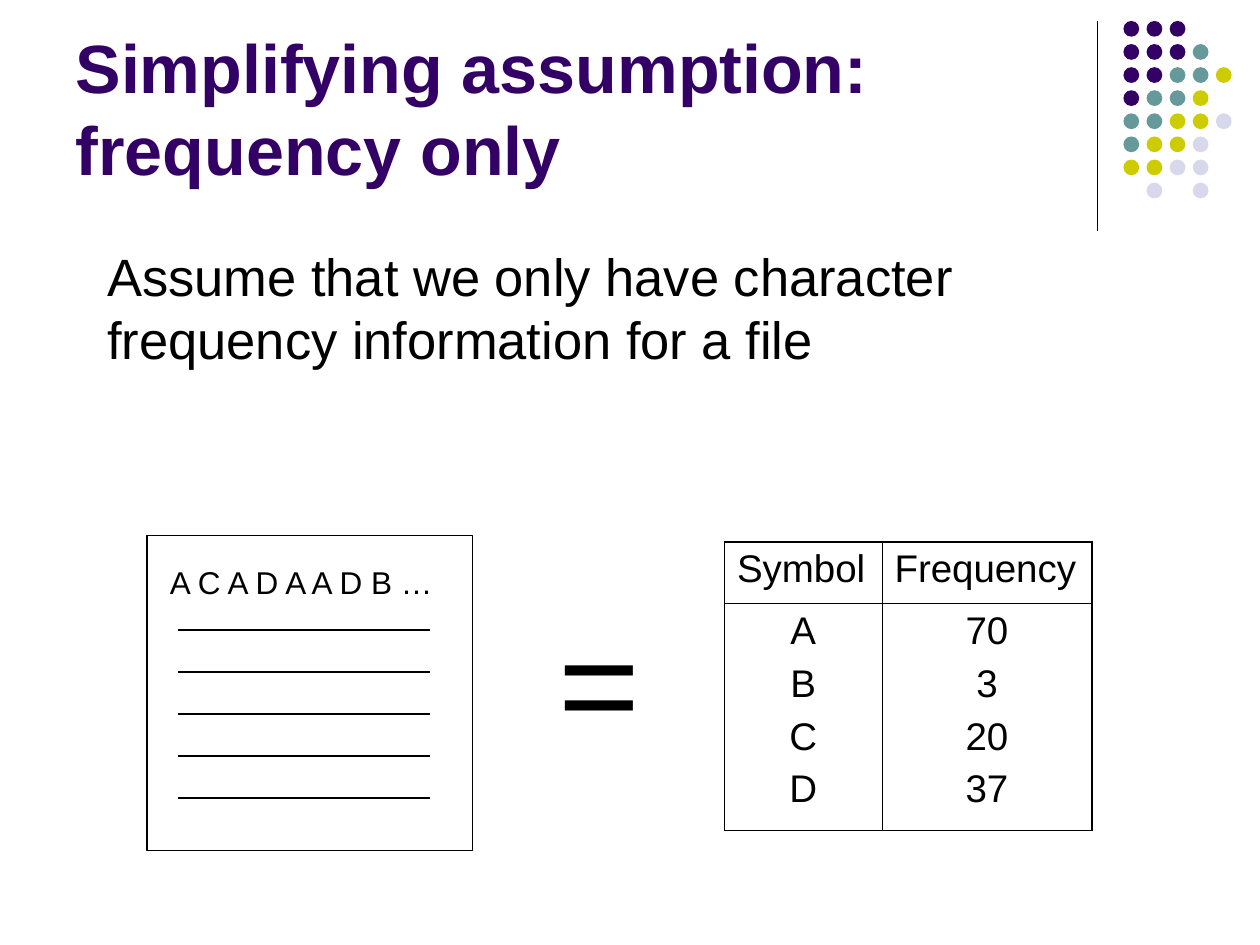
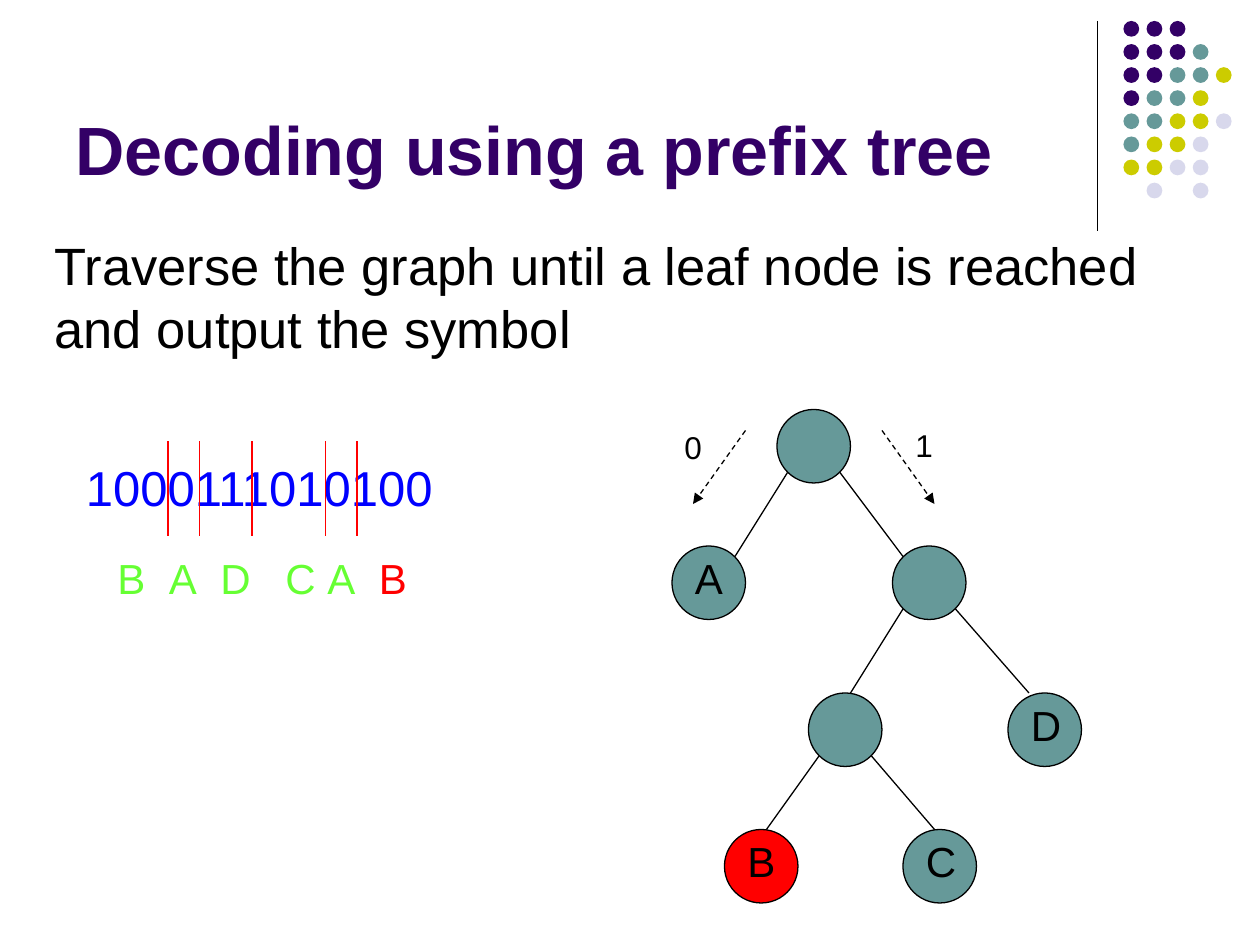
"""Build two slides on character frequencies and prefix tree decoding."""
import lxml.etree
import pptx
import pptx.dml.color
import pptx.enum.dml
import pptx.enum.shapes
import pptx.enum.text
import pptx.oxml.ns
import pptx.util

PX = 7620
FONT = "Arial"
HUES = {
    "plum": "330066", "teal": "669999", "lime": "CCCC00", "pale": "D8D8EC",
    "black": "000000", "red": "FF0000", "blue": "0000FF", "green": "66FF33",
}
RGB = {name: pptx.dml.color.RGBColor.from_string(code) for name, code in HUES.items()}
Pt = pptx.util.Pt
Shape = pptx.enum.shapes.MSO_SHAPE
Align = pptx.enum.text.PP_ALIGN
qn = pptx.oxml.ns.qn


def write(slide, text, box, size, hue="black"):
    """Add a text box and return its paragraph."""
    frame = slide.shapes.add_textbox(*[v * PX for v in box]).text_frame
    frame.word_wrap = True
    para = frame.paragraphs[0]
    para.text = text
    para.font.name = FONT
    para.font.size = Pt(size)
    para.font.color.rgb = RGB[hue]
    return para


def rule(slide, ends, hue="black", arrow=False):
    """Draw a straight line, dashed with a head if it is an arrow."""
    line = slide.shapes.add_connector(
        pptx.enum.shapes.MSO_CONNECTOR.STRAIGHT, *[v * PX for v in ends])
    line.line.color.rgb = RGB[hue]
    line.line.width = Pt(0.75)
    props = line.element.spPr
    if arrow:
        line.line.dash_style = pptx.enum.dml.MSO_LINE.DASH
        lxml.etree.SubElement(props.find(qn("a:ln")), qn("a:tailEnd"), type="triangle")
    lxml.etree.SubElement(props, qn("a:effectLst"))
    return line


deck = pptx.Presentation()
deck.slide_width = 1200 * PX
deck.slide_height = 900 * PX
layout = deck.slide_layouts[1]

pages = [
    ("Simplifying assumption:\vfrequency only",
     "Assume that we only have character frequency information for a file",
     (90, 226, 940, 204)),
    ("Decoding using a prefix tree",
     "Traverse the graph until a leaf node is reached and output the symbol",
     (40, 216, 1100, 134)),
]
for title, body, area in pages:
    slide = deck.slides.add_slide(layout)
    looks = [
        (title, (60, 16, 990, 170), 39, 47, "plum", True, pptx.enum.text.MSO_ANCHOR.BOTTOM),
        (body, area, 30, 36, "black", False, pptx.enum.text.MSO_ANCHOR.TOP),
    ]
    for holder, (text, box, size, pitch, hue, bold, anchor) in zip(slide.placeholders, looks):
        holder.left, holder.top, holder.width, holder.height = [v * PX for v in box]
        frame = holder.text_frame
        frame.text = text
        frame.auto_size = pptx.enum.text.MSO_AUTO_SIZE.NONE
        frame.vertical_anchor = anchor
        para = frame.paragraphs[0]
        props = para._p.get_or_add_pPr()
        props.set("marL", "0")
        props.set("indent", "0")
        lxml.etree.SubElement(props, qn("a:buNone"))
        para.alignment = Align.LEFT
        para.space_before = Pt(0)
        para.line_spacing = Pt(pitch)
        para.font.name = FONT
        para.font.size = Pt(size)
        para.font.bold = bold
        para.font.color.rgb = RGB[hue]

first, second = deck.slides

motif = [rule(first, (1045, 20, 1045, 220))]
keys = {"p": "plum", "t": "teal", "y": "lime", "l": "pale"}
dots = ["ppp", "pppt", "pptty", "ptty", "ttyyl", "tyyl", "yyll", ".l.l"]
for row, marks in enumerate(dots):
    for col, mark in enumerate(marks):
        if mark in keys:
            dot = first.shapes.add_shape(
                Shape.OVAL, (1070 + 22 * col) * PX, (20 + 22 * row) * PX, 15 * PX, 15 * PX)
            dot.shadow.inherit = False
            dot.fill.solid()
            dot.fill.fore_color.rgb = RGB[keys[mark]]
            dot.line.fill.background()
            motif.append(dot)
for part in motif:
    layout.shapes.element.append(part.element)

sheet = first.shapes.add_shape(Shape.RECTANGLE, 140 * PX, 510 * PX, 310 * PX, 300 * PX)
sheet.shadow.inherit = False
sheet.fill.background()
sheet.line.color.rgb = RGB["black"]
sheet.line.width = Pt(0.75)
write(first, "A C A D A A D B …", (150, 530, 350, 48), 18)
for row in range(5):
    rule(first, (170, 600 + 40 * row, 410, 600 + 40 * row))
write(first, "=", (520, 560, 140, 173), 80)

cells = [
    [["Symbol"], ["Frequency"]],
    [["A", "B", "C", "D"], ["70", "3", "20", "37"]],
]
table = first.shapes.add_table(2, 2, 690 * PX, 516 * PX, 350 * PX, 275 * PX).table
table.first_row = False
table.horz_banding = False
for index, width in enumerate((150, 200)):
    table.columns[index].width = width * PX
for index, height in enumerate((59, 216)):
    table.rows[index].height = height * PX
for row, line in enumerate(cells):
    for col, words in enumerate(line):
        cell = table.cell(row, col)
        props = cell._tc.get_or_add_tcPr()
        outer = {"L": col == 0, "R": col == 1, "T": row == 0, "B": row == 1}
        for side, thick in outer.items():
            edge = lxml.etree.SubElement(
                props, qn("a:ln" + side), w=str(Pt(1.08 if thick else 0.45)))
            fill = lxml.etree.SubElement(edge, qn("a:solidFill"))
            lxml.etree.SubElement(fill, qn("a:srgbClr"), val=HUES["black"])
        cell.fill.background()
        cell.text = "\n".join(words)
        for place, para in enumerate(cell.text_frame.paragraphs):
            para.alignment = Align.CENTER if row else Align.LEFT
            para.space_before = Pt(5.5 if place else 0)
            para.font.name = FONT
            para.font.size = Pt(22)
            para.font.bold = False
            para.font.color.rgb = RGB["black"]

nodes = [
    (740, 390, "", "teal"), (640, 520, "A", "teal"), (850, 520, "", "teal"),
    (770, 660, "", "teal"), (690, 790, "B", "red"), (860, 790, "C", "teal"),
    (960, 660, "D", "teal"),
]
for left, top, name, hue in nodes:
    node = second.shapes.add_shape(Shape.OVAL, left * PX, top * PX, 70 * PX, 70 * PX)
    node.shadow.inherit = False
    node.fill.solid()
    node.fill.fore_color.rgb = RGB[hue]
    node.line.color.rgb = RGB["black"]
    node.line.width = Pt(0.75)
    if name:
        write(second, name, (left + 10, top, 60, 60), 24)

edges = [
    (750, 450, 700, 530), (800, 450, 860, 530), (860, 580, 810, 660),
    (780, 720, 730, 790), (830, 720, 890, 790), (910, 580, 980, 660),
]
for ends in edges:
    rule(second, ends)
for ends in ((710, 410, 660, 480), (840, 410, 890, 480)):
    rule(second, ends, arrow=True)
write(second, "0", (640, 402, 50, 48), 18)
write(second, "1", (860, 400, 50, 48), 18)

write(second, "1000111010100", (70, 430, 380, 68), 28, "blue")
for left in (160, 190, 240, 310, 340):
    rule(second, (left, 420, left, 510), "red")

para = write(second, "", (100, 520, 380, 60), 24, "green")
props = para._p.get_or_add_pPr()
tabs = lxml.etree.Element(qn("a:tabLst"))
props.insert(0, tabs)
for stop in (49, 98, 160, 200, 249):
    lxml.etree.SubElement(tabs, qn("a:tab"), pos=str(stop * PX), algn="l")
for text, hue in (("B\tA\tD\tC\tA", "green"), ("\tB", "red")):
    run = para.add_run()
    run.text = text
    run.font.color.rgb = RGB[hue]

deck.save("out.pptx")
